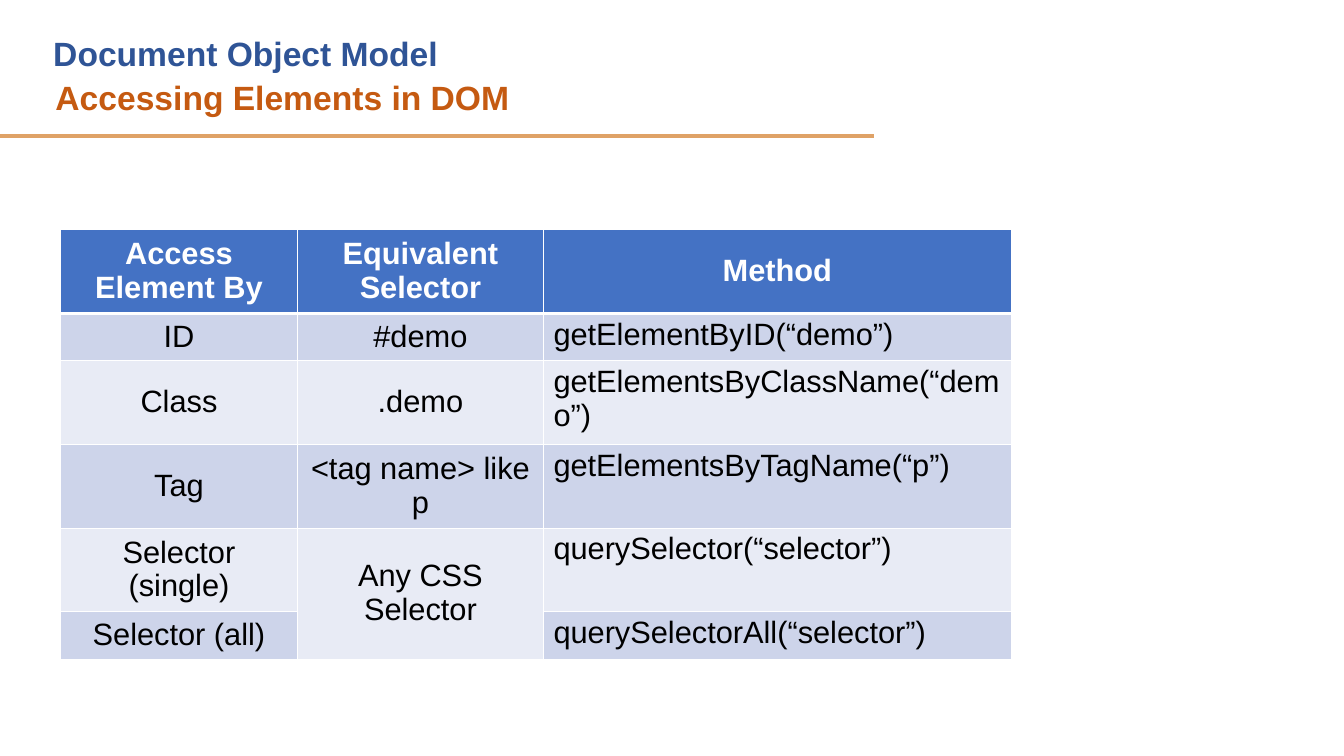
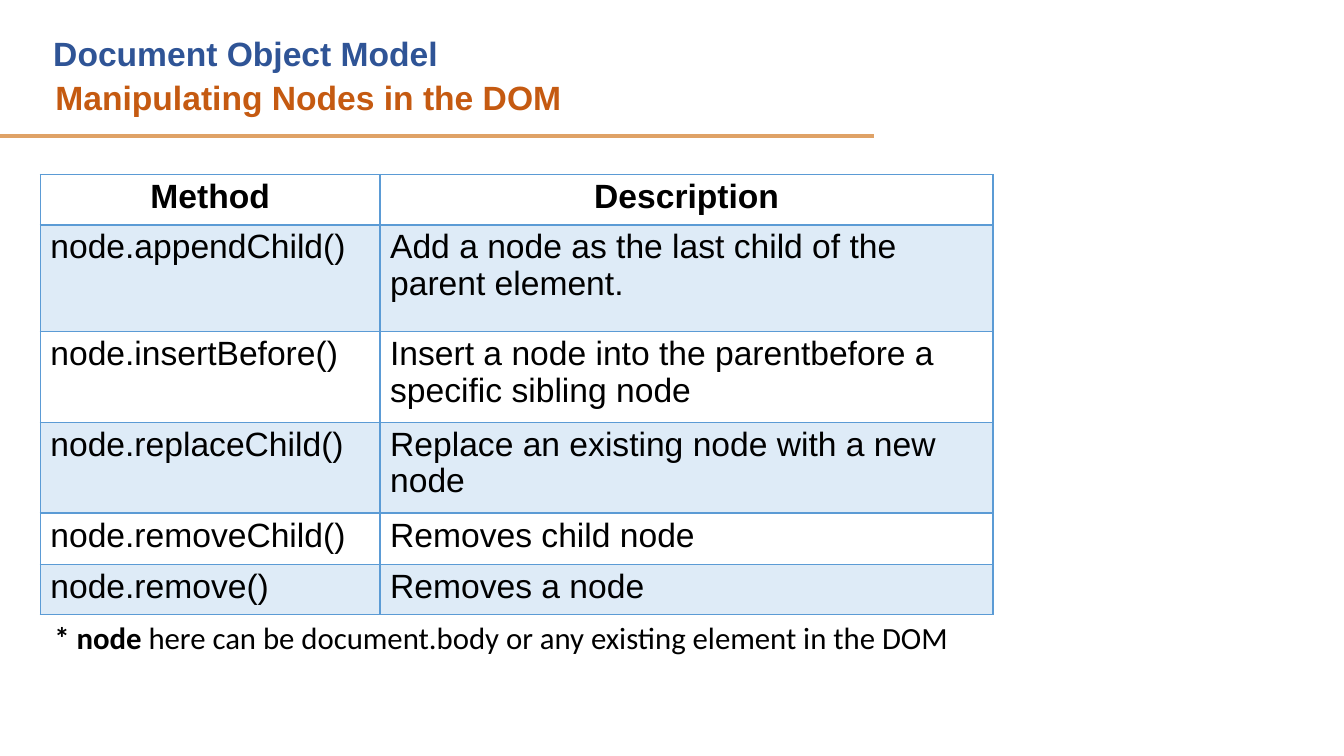
import pptx
import pptx.dml.color
import pptx.enum.shapes
import pptx.enum.text
import pptx.oxml.ns
import pptx.util
from lxml import etree

Inches, Pt = pptx.util.Inches, pptx.util.Pt
PP_ALIGN = pptx.enum.text.PP_ALIGN
ANCHOR = pptx.enum.text.MSO_ANCHOR
qn = pptx.oxml.ns.qn

FONT = "Arial"
BLACK, WHITE = "000000", "FFFFFF"
TOPIC_BLUE, TITLE_ORANGE, RULE_ORANGE = "2F5496", "C55A11", "DFA267"
HEADER_BLUE, BAND_DARK, BAND_LIGHT = "4472C4", "CDD4EA", "E8EBF5"
GRID_BLUE, BAND_PALE = "5B9BD5", "DEEBF7"

ACCESS_ROWS = [
    ("Access Element By", "Equivalent Selector", "Method"),
    ("ID", "#demo", "getElementByID(“demo”)"),
    ("Class", ".demo", "getElementsByClassName(“demo”)"),
    ("Tag", "<tag name> like p", "getElementsByTagName(“p”)"),
    ("Selector (single)", "Any CSS Selector", "querySelector(“selector”)"),
    ("Selector (all)", "", "querySelectorAll(“selector”)"),
]
NODE_ROWS = [
    ("Method", "Description"),
    ("node.appendChild()", "Add a node as the last child of the parent element."),
    ("node.insertBefore()",
     "Insert a node into the parentbefore a specific sibling node"),
    ("node.replaceChild()", "Replace an existing node with a new node"),
    ("node.removeChild()", "Removes child node"),
    ("node.remove()", "Removes a node"),
]


def rgb(color):
    return pptx.dml.color.RGBColor.from_string(color)


def add_run(paragraph, text, size, color=BLACK, bold=False, font=FONT):
    run = paragraph.add_run()
    run.text = text
    run.font.name, run.font.size, run.font.bold = font, Pt(size), bold
    run.font.color.rgb = rgb(color)


def prepare_frame(shape, box):
    """Place the shape and return its first paragraph, left-aligned at the top."""
    shape.left, shape.top, shape.width, shape.height = map(Inches, box)
    frame = shape.text_frame
    frame.word_wrap = True
    frame.auto_size = pptx.enum.text.MSO_AUTO_SIZE.NONE
    frame.vertical_anchor = ANCHOR.TOP
    paragraph = frame.paragraphs[0]
    paragraph.alignment = PP_ALIGN.LEFT
    return paragraph


def add_text_box(slide, box):
    return prepare_frame(slide.shapes.add_textbox(*map(Inches, box)), box)


def add_heading(slide, title):
    rule = slide.shapes.add_connector(
        pptx.enum.shapes.MSO_CONNECTOR.STRAIGHT,
        0, Inches(1.35), Inches(8.67), Inches(1.35))
    rule.line.color.rgb = rgb(RULE_ORANGE)
    rule.line.width = Pt(3)
    etree.SubElement(rule.element.spPr, qn("a:effectLst"))

    title_line = prepare_frame(slide.shapes.title, (0.45, 0.71, 8.75, 0.5))
    add_run(title_line, title, 24, TITLE_ORANGE, True)
    topic_line = add_text_box(slide, (0.43, 0.28, 8.2, 0.5))
    add_run(topic_line, "Document Object Model", 24, TOPIC_BLUE, True)


def set_borders(cell, color, left=1, right=1, top=1, bottom=1):
    properties = cell._tc.get_or_add_tcPr()
    for side, width in (("L", left), ("R", right), ("T", top), ("B", bottom)):
        line = etree.SubElement(properties, qn(f"a:ln{side}"), w=str(Pt(width)))
        fill = etree.SubElement(line, qn("a:solidFill"))
        etree.SubElement(fill, qn("a:srgbClr"), val=color)


def add_grid(slide, left, top, widths, heights, rows, size, border, header_line,
             header_fill, header_color, bands, centred_columns=0):
    """Add a table whose body rows alternate between the two bands.

    A fill of None leaves the cell clear; the first centred_columns columns
    and the header are centred.
    """
    table = slide.shapes.add_table(
        len(rows), len(widths), Inches(left), Inches(top),
        Inches(sum(widths)), Inches(sum(heights))).table
    table.horz_banding = False
    for column, width in zip(table.columns, widths):
        column.width = Inches(width)
    for row, height in zip(table.rows, heights):
        row.height = Inches(height)

    for r, texts in enumerate(rows):
        header = r == 0
        fill = header_fill if header else bands[(r - 1) % 2]
        for c, text in enumerate(texts):
            cell = table.cell(r, c)
            set_borders(cell, border, top=header_line if r == 1 else 1,
                        bottom=header_line if header else 1)
            if fill:
                cell.fill.solid()
                cell.fill.fore_color.rgb = rgb(fill)
            else:
                cell.fill.background()
            centred = header or c < centred_columns
            in_middle = centred and centred_columns
            cell.vertical_anchor = ANCHOR.MIDDLE if in_middle else ANCHOR.TOP
            paragraph = cell.text_frame.paragraphs[0]
            paragraph.alignment = PP_ALIGN.CENTER if centred else PP_ALIGN.LEFT
            paragraph.line_spacing = 0.97
            if text:
                add_run(paragraph, text, size,
                        header_color if header else BLACK, header)
    return table


def build_access_slide(slide):
    add_heading(slide, "Accessing Elements in DOM")
    table = add_grid(
        slide, 0.6, 2.28, (2.35, 2.44, 4.64),
        (0.83, 0.47, 0.83, 0.83, 0.83, 0.47), ACCESS_ROWS, 22,
        border=WHITE, header_line=3, header_fill=HEADER_BLUE,
        header_color=WHITE, bands=(BAND_DARK, BAND_LIGHT), centred_columns=2)
    table.cell(4, 1).merge(table.cell(5, 1))


def build_nodes_slide(slide):
    add_heading(slide, "Manipulating Nodes in the DOM")
    add_grid(
        slide, 0.4, 1.73, (3.37, 6.08), (0.5, 1.06, 0.9, 0.9, 0.51, 0.5),
        NODE_ROWS, 24, border=GRID_BLUE, header_line=2, header_fill=None,
        header_color=BLACK, bands=(BAND_PALE, None))
    footnote = add_text_box(slide, (0.44, 6.09, 9.15, 0.47))
    add_run(footnote, "* node", 22, bold=True, font="Calibri")
    add_run(footnote, " here can be document.body or any existing element in the DOM",
            22, font="Calibri")


def main():
    deck = pptx.Presentation()
    deck.slide_width, deck.slide_height = Inches(13.33), Inches(7.5)
    title_only = deck.slide_layouts[5]
    for build in (build_access_slide, build_nodes_slide):
        build(deck.slides.add_slide(title_only))
    deck.save("out.pptx")


if __name__ == "__main__":
    main()
